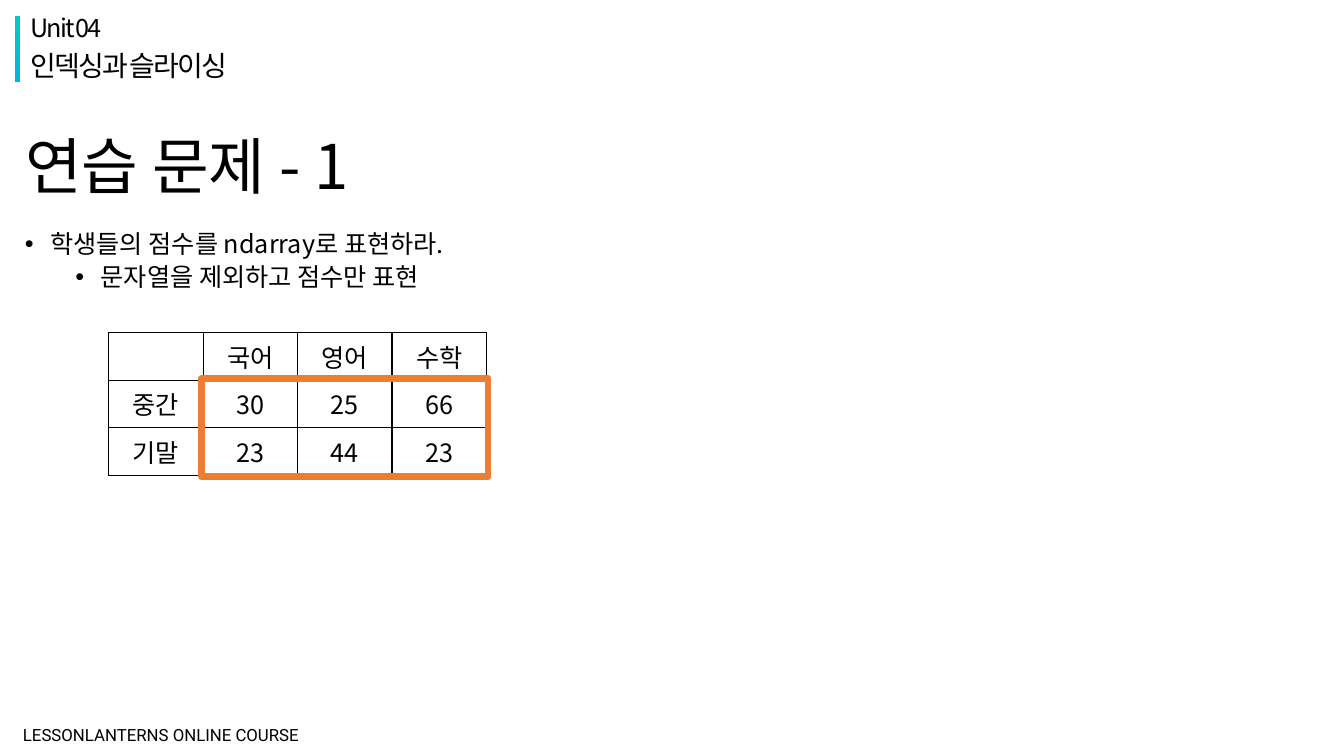
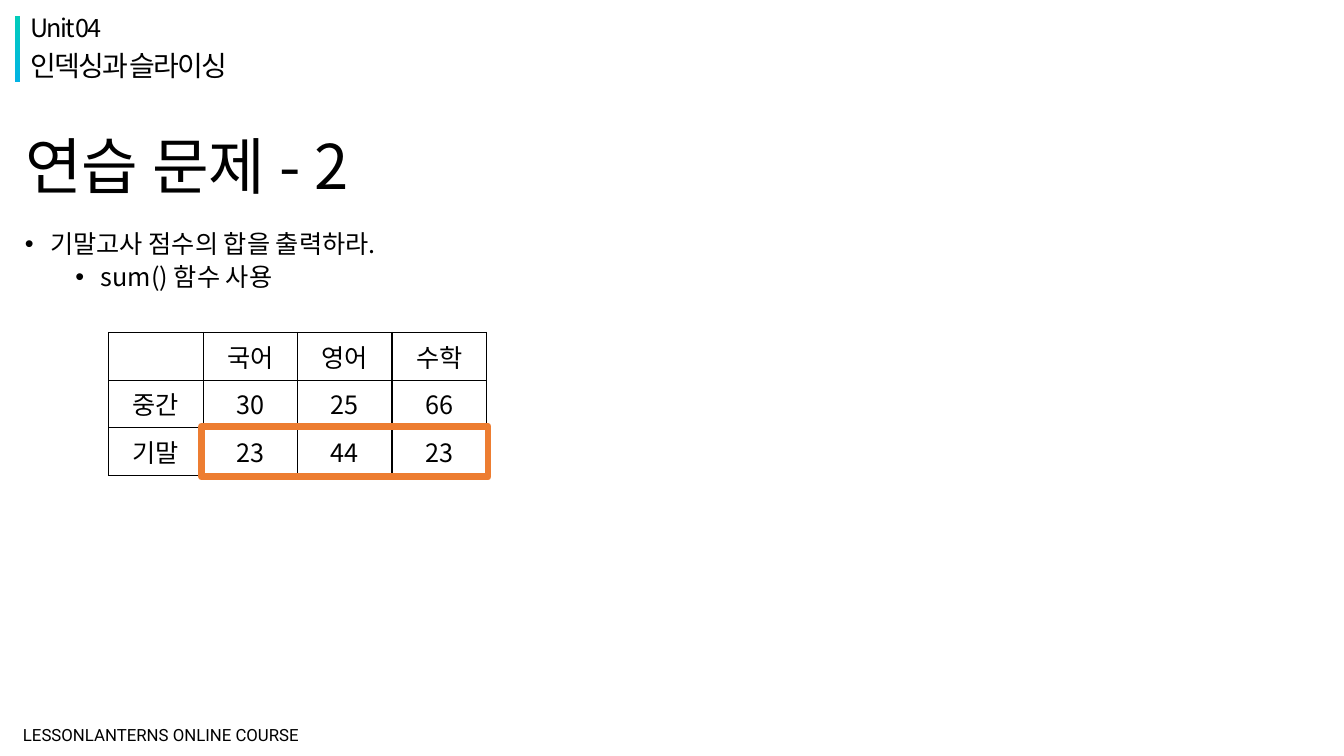
from pptx import Presentation
from pptx import util as u
from pptx.dml.color import RGBColor
from pptx.enum import shapes, text
from pptx.oxml.ns import qn
from lxml import etree

COLORS = {"text": "000000", "bar_top": "02CCBA", "bar_bottom": "02B3E4",
          "border": "000000", "highlight": "ED7D31"}
FONT = "Noto Sans CJK KR"
FOOTER_FONT = "Roboto"
FOOTER = "LESSONLANTERNS ONLINE COURSE"
UNIT = "Unit 04"
TOPIC = "인덱싱과 슬라이싱"
SCORES = [["", "국어", "영어", "수학"],
          ["중간", "30", "25", "66"],
          ["기말", "23", "44", "23"]]
COL_W, ROW_H = 2.38, 1.2

HEADER_BOX = (0.38, 0.28, 20.6, 1.8)
TITLE_BOX = (0.38, 3.18, 29.21, 2.16)
TASK_BOX = (0.38, 5.72, 29.21, 2.16)
TABLE_BOX = (2.74, 8.38, COL_W * len(SCORES[0]), ROW_H * len(SCORES))
FOOTER_BOX = (0.38, 18.06, 10.08, 0.91)

EXERCISES = [
    ("연습 문제 - 1", "학생들의 점수를 ndarray로 표현하라.",
     "문자열을 제외하고 점수만 표현", 1),
    ("연습 문제 - 2", "기말고사 점수의 합을 출력하라.",
     "sum() 함수 사용", 2),
]


def rgb(name):
    return RGBColor.from_string(COLORS[name])


def cm(box):
    return [u.Cm(v) for v in box]


def style(p, size, font=FONT, spacing=None):
    for r in p.runs:
        r.font.size = u.Pt(size)
        r.font.name = font
        r.font.color.rgb = rgb("text")
        rPr = r._r.get_or_add_rPr()
        etree.SubElement(rPr, qn("a:ea"), typeface=font)
        if spacing is not None:
            rPr.set("spc", str(int(spacing * 100)))


def add_text(s, box, content):
    tf = s.shapes.add_textbox(*cm(box)).text_frame
    tf.word_wrap = True
    tf.text = content
    return tf


def add_bullet(p, left, hanging):
    pPr = p._p.get_or_add_pPr()
    pPr.set("marL", str(u.Cm(left)))
    pPr.set("indent", str(-u.Cm(hanging)))
    etree.SubElement(pPr, qn("a:buFont"), typeface="Arial")
    etree.SubElement(pPr, qn("a:buChar"), char="•")


def add_header(s, box):
    x, y, w, h = box
    bar = s.shapes.add_shape(shapes.MSO_SHAPE.RECTANGLE,
                             *cm((x, y + 0.12, 0.13, 1.68)))
    bar.shadow.inherit = False
    bar.line.fill.background()
    bar.fill.gradient()
    bar.fill.gradient_angle = 270
    for stop, name in zip(bar.fill.gradient_stops, ("bar_top", "bar_bottom")):
        stop.color.rgb = rgb(name)
    for i, (line, size) in enumerate(((UNIT, 18), (TOPIC, 20))):
        p = add_text(s, (x + 0.15, y + 0.91 * i, w - 0.15, 0.86), line).paragraphs[0]
        p.line_spacing = 0.9
        style(p, size, spacing=-1.5)


def add_footer(s, box):
    tf = add_text(s, box, FOOTER)
    tf.vertical_anchor = text.MSO_ANCHOR.MIDDLE
    tf.margin_left = tf.margin_right = tf.margin_top = tf.margin_bottom = u.Cm(0.2)
    style(tf.paragraphs[0], 12, FOOTER_FONT)


def set_title(s, box, content):
    sp = s.shapes.title
    sp.left, sp.top, sp.width, sp.height = cm(box)
    tf = sp.text_frame
    tf.text = content
    tf.auto_size = text.MSO_AUTO_SIZE.NONE
    tf.vertical_anchor = text.MSO_ANCHOR.MIDDLE
    p = tf.paragraphs[0]
    p.alignment = text.PP_ALIGN.LEFT
    p.line_spacing = 0.9
    style(p, 44)


def add_task(s, box, task, hint):
    tf = add_text(s, box, task)
    tf.add_paragraph().text = hint
    for level, p in enumerate(tf.paragraphs):
        p.level = level
        p.line_spacing = 0.9
        p.space_before = u.Pt(4 * level)
        add_bullet(p, 0.64 + 1.27 * level, 0.64)
        style(p, 18)


def add_borders(cell):
    tcPr = cell._tc.get_or_add_tcPr()
    for side in ("lnL", "lnR", "lnT", "lnB"):
        ln = etree.SubElement(tcPr, qn(f"a:{side}"), w=str(u.Pt(1)))
        fill = etree.SubElement(ln, qn("a:solidFill"))
        etree.SubElement(fill, qn("a:srgbClr"), val=COLORS["border"])


def add_scores(s, box, first_row):
    x, y, w, h = box
    tbl = s.shapes.add_table(len(SCORES), len(SCORES[0]), *cm(box)).table
    tbl.first_row = tbl.horz_banding = False
    for i, row in enumerate(SCORES):
        for j, value in enumerate(row):
            cell = tbl.cell(i, j)
            cell.text = value
            cell.vertical_anchor = text.MSO_ANCHOR.MIDDLE
            add_borders(cell)
            cell.fill.background()
            p = cell.text_frame.paragraphs[0]
            p.alignment = text.PP_ALIGN.CENTER
            style(p, 18)

    pad = 0.04
    top = ROW_H * first_row
    frame = s.shapes.add_shape(
        shapes.MSO_SHAPE.RECTANGLE,
        *cm((x + COL_W - pad, y + top - pad, w - COL_W + 2 * pad, h - top + 2 * pad)))
    frame.shadow.inherit = False
    frame.fill.background()
    frame.line.color.rgb = rgb("highlight")
    frame.line.width = u.Pt(5)


def add_exercise(prs, title, task, hint, first_row):
    s = prs.slides.add_slide(prs.slide_layouts[5])
    add_header(s, HEADER_BOX)
    add_footer(s, FOOTER_BOX)
    set_title(s, TITLE_BOX, title)
    add_task(s, TASK_BOX, task, hint)
    add_scores(s, TABLE_BOX, first_row)


def main():
    prs = Presentation()
    prs.slide_width, prs.slide_height = u.Cm(33.87), u.Cm(19.05)
    for exercise in EXERCISES:
        add_exercise(prs, *exercise)
    prs.save("out.pptx")


if __name__ == "__main__":
    main()
